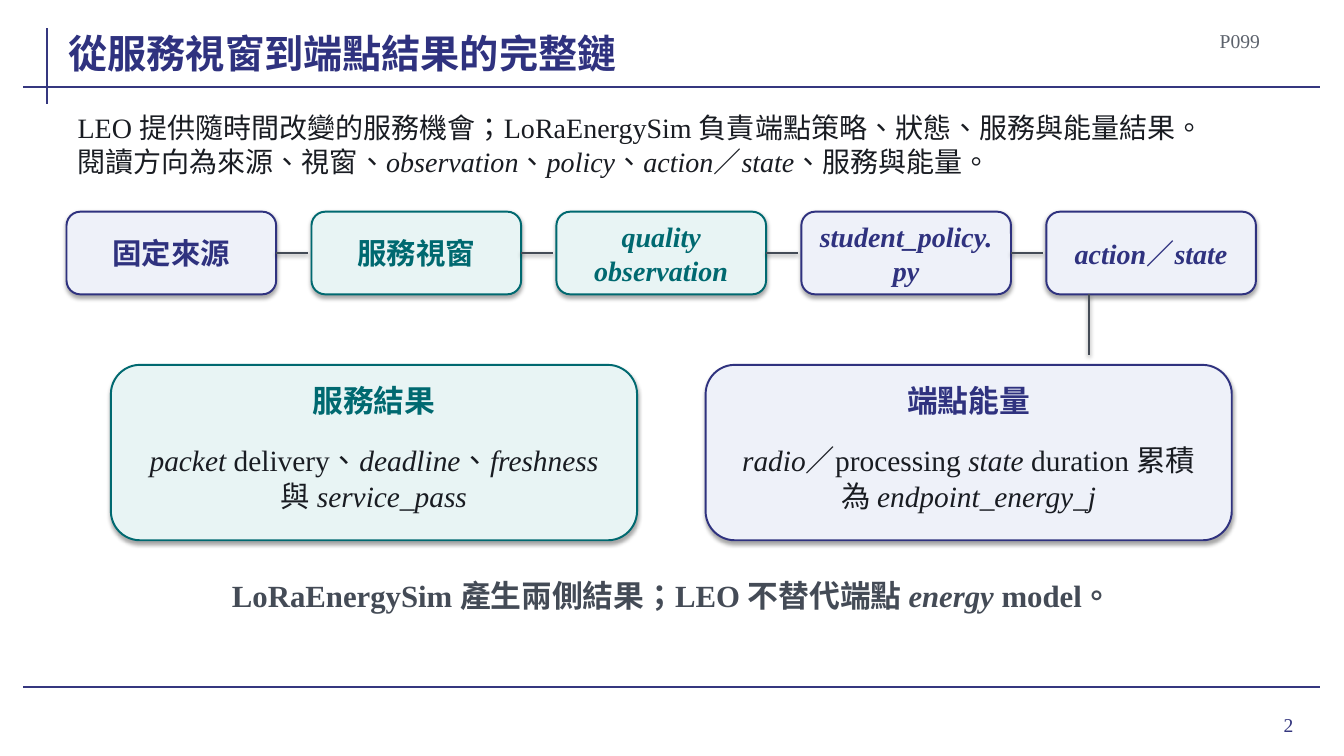
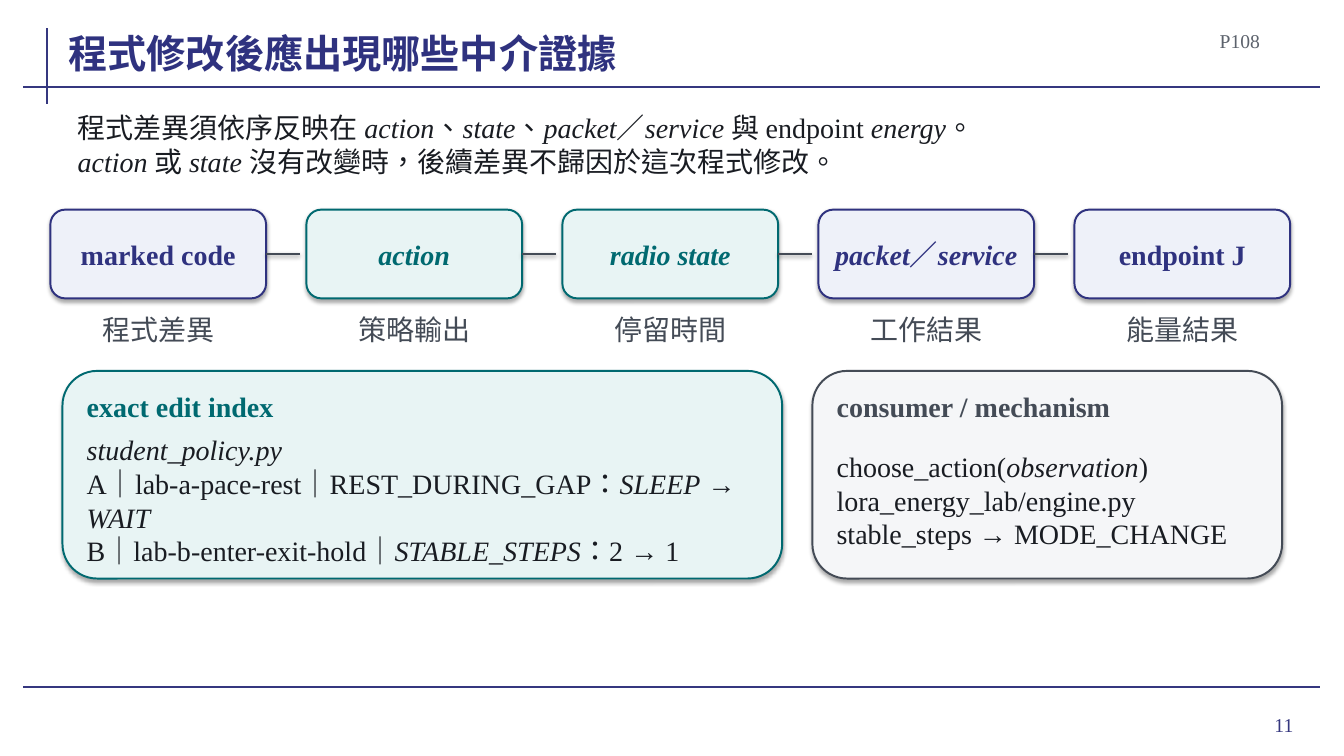
from lxml import etree
from pptx import Presentation
from pptx.dml.color import RGBColor
from pptx.enum import lang, shapes, text
from pptx.oxml import ns
from pptx.util import Pt

FONT = "Times New Roman"
COLORS = {
    "rule": "35377F", "navy": "2F327F", "navy_fill": "EEF1F9",
    "teal": "006970", "teal_fill": "E8F4F4", "slate": "444B56",
    "slate_fill": "F5F6F8", "ink": "191C22", "code": "5C626C", "shadow": "000000",
}
RULES = [(33.84, 20.16, 33.84, 74.16), (16.56, 61.92, 943.2, 61.92), (16.56, 491.04, 943.2, 491.04)]
LEFT, CENTER, RIGHT = text.PP_ALIGN.LEFT, text.PP_ALIGN.CENTER, text.PP_ALIGN.RIGHT
TOP, MIDDLE, BOTTOM = text.MSO_ANCHOR.TOP, text.MSO_ANCHOR.MIDDLE, text.MSO_ANCHOR.BOTTOM

# Asterisks switch italics on and off.
SLIDES = [
    {
        "number": "2", "code": "P099", "title": "從服務視窗到端點結果的完整鏈",
        "intro": "LEO 提供隨時間改變的服務機會；LoRaEnergySim 負責端點策略、狀態、服務與能量結果。\n"
                 "閱讀方向為來源、視窗、*observation*、*policy*、*action*／*state*、服務與能量。",
        "flow": {"left": 47.52, "top": 151.2, "width": 149.76, "height": 59.04, "pitch": 174.96, "link": 23.04},
        "steps": [
            ("navy", "固定來源", 21, ""),
            ("teal", "服務視窗", 21, ""),
            ("teal", "*quality observation*", 20, ""),
            ("navy", "*student_policy.py*", 20, ""),
            ("navy", "*action*／*state*", 20, ""),
        ],
        "drop": (777.6, 210.24, 777.6, 253.44),
        "panel": {"top": 260.64, "height": 125.28, "head": 22, "body": 21, "align": CENTER},
        "panels": [
            ("teal", 79.2, 375.84, "服務結果",
             "*packet *delivery、*deadline*、*freshness* 與 *service_pass*"),
            ("navy", 504, 375.84, "端點能量",
             "*radio*／processing *state *duration 累積為 *endpoint_energy_j*"),
        ],
        "closing": "LoRaEnergySim 產生兩側結果；LEO 不替代端點 *energy *model。",
    },
    {
        "number": "11", "code": "P108", "title": "程式修改後應出現哪些中介證據",
        "intro": "程式差異須依序反映在 *action*、*state*、*packet*／*service* 與 endpoint *energy*。\n"
                 "*action* 或 *state* 沒有改變時，後續差異不歸因於這次程式修改。",
        "flow": {"left": 36, "top": 149.76, "width": 154.08, "height": 63.36, "pitch": 182.88, "link": 24.48},
        "steps": [
            ("navy", "marked code", 20, "程式差異"),
            ("teal", "*action*", 20, "策略輸出"),
            ("teal", "*radio state*", 20, "停留時間"),
            ("navy", "*packet*／*service*", 20, "工作結果"),
            ("navy", "endpoint J", 20, "能量結果"),
        ],
        "drop": None,
        "panel": {"top": 264.96, "height": 148.32, "head": 20, "body": 20, "align": LEFT},
        "panels": [
            ("teal", 44.64, 514.08, "exact edit index",
             "*student_policy.py*\nA｜lab-a-pace-rest｜REST_DURING_GAP：*SLEEP* → *WAIT*\n"
             "B｜lab-b-enter-exit-hold｜*STABLE_STEPS*：2 → 1"),
            ("slate", 580.32, 335.52, "consumer / mechanism",
             "choose_action(*observation*)\nlora_energy_lab/engine.py\nstable_steps → MODE_CHANGE"),
        ],
        "closing": "",
    },
]


def rgb(name):
    return RGBColor.from_string(COLORS[name])


def set_effects(item, alpha=0, distance=0):
    effects = etree.SubElement(item._element.spPr, ns.qn("a:effectLst"))
    if alpha:
        shadow = etree.SubElement(effects, ns.qn("a:outerShdw"), blurRad=str(Pt(3.1)),
                                  dist=str(Pt(distance)), dir="5400000", algn="ctr", rotWithShape="0")
        color = etree.SubElement(shadow, ns.qn("a:srgbClr"), val=COLORS["shadow"])
        etree.SubElement(color, ns.qn("a:alpha"), val=str(alpha * 1000))


def write(frame, content, size, color, bold=False, align=LEFT, anchor=MIDDLE, margins=(2.88, 2.88)):
    frame.word_wrap = True
    frame.vertical_anchor = anchor
    frame.margin_left = frame.margin_right = Pt(margins[0])
    frame.margin_top = frame.margin_bottom = Pt(margins[1])
    para = frame.paragraphs[0]
    para.alignment = align
    for index, part in enumerate(content.split("*")):
        for row, piece in enumerate(part.split("\n")):
            if row:
                para.add_line_break()
            if piece:
                span = para.add_run()
                span.text = piece
                font = span.font
                font.name, font.size, font.bold, font.italic = FONT, Pt(size), bold, index % 2 == 1
                font.color.rgb = rgb(color)
                font.language_id = lang.MSO_LANGUAGE_ID.TRADITIONAL_CHINESE


def add_text(page, place, content, size, color, **style):
    box = page.shapes.add_textbox(*map(Pt, place))
    write(box.text_frame, content, size, color, **style)
    box.text_frame.auto_size = text.MSO_AUTO_SIZE.SHAPE_TO_FIT_TEXT
    return box


def add_line(page, ends, color, shadow=0):
    line = page.shapes.add_connector(shapes.MSO_CONNECTOR.STRAIGHT, *map(Pt, ends))
    line.line.color.rgb = rgb(color)
    line.line.width = Pt(1.5)
    set_effects(line, shadow, 1.6)
    return line


def add_card(page, place, tone):
    card = page.shapes.add_shape(shapes.MSO_SHAPE.ROUNDED_RECTANGLE, *map(Pt, place))
    card.fill.solid()
    card.fill.fore_color.rgb = rgb(tone + "_fill")
    card.line.color.rgb = rgb(tone)
    card.line.width = Pt(1.4)
    set_effects(card, 35, 1.8)
    return card


def add_frame(page, data):
    for ends in RULES:
        add_line(page, ends, "rule")
    add_text(page, (861.12, 498.96, 69.84, 37.44), data["number"], 14, "rule", align=RIGHT, margins=(7.2, 3.6))
    title = add_text(page, (48.96, 12.96, 784.8, 41.76), data["title"], 28, "navy",
                     bold=True, anchor=BOTTOM, margins=(0, 0))
    title.text_frame.auto_size = text.MSO_AUTO_SIZE.NONE
    add_text(page, (843.84, 19.44, 59.04, 18.72), data["code"], 14, "code", align=RIGHT)
    add_text(page, (54.72, 80.64, 848.16, 44.64), data["intro"], 20, "ink", margins=(0.72, 0.72))


def add_flow(page, flow, steps):
    top, width, height = flow["top"], flow["width"], flow["height"]
    for index, (tone, label, size, caption) in enumerate(steps):
        left = flow["left"] + index * flow["pitch"]
        card = add_card(page, (left, top, width, height), tone)
        write(card.text_frame, label, size, tone, bold=True, align=CENTER, margins=(7.2, 0))
        if caption:
            add_text(page, (left, top + height + 7.2, width, 30.24), caption, 20, "slate",
                     align=CENTER, anchor=TOP)
        if index < len(steps) - 1:
            right, middle = left + width, top + height / 2
            link = add_line(page, (right, middle, right + flow["link"], middle), "slate", 38)
            link.begin_connect(card, 3)


def add_panels(page, panel, panels):
    top, height, align = panel["top"], panel["height"], panel["align"]
    for tone, left, width, heading, body in panels:
        add_card(page, (left, top, width, height), tone)
        inner_left, inner_width = left + 14.4, width - 28.8
        add_text(page, (inner_left, top + 11.52, inner_width, 27.36), heading, panel["head"], tone,
                 bold=True, align=align)
        add_text(page, (inner_left, top + 46.08, inner_width, height - 56.16), body, panel["body"], "ink",
                 align=align)


def main():
    deck = Presentation()
    deck.slide_width, deck.slide_height = Pt(960), Pt(540)
    for data in SLIDES:
        page = deck.slides.add_slide(deck.slide_layouts[6])
        add_frame(page, data)
        add_flow(page, data["flow"], data["steps"])
        if data["drop"]:
            add_line(page, data["drop"], "slate", 38)
        add_panels(page, data["panel"], data["panels"])
        if data["closing"]:
            add_text(page, (80.64, 406.8, 799.2, 36), data["closing"], 22, "slate", bold=True, align=CENTER)
    deck.save("out.pptx")


if __name__ == "__main__":
    main()
